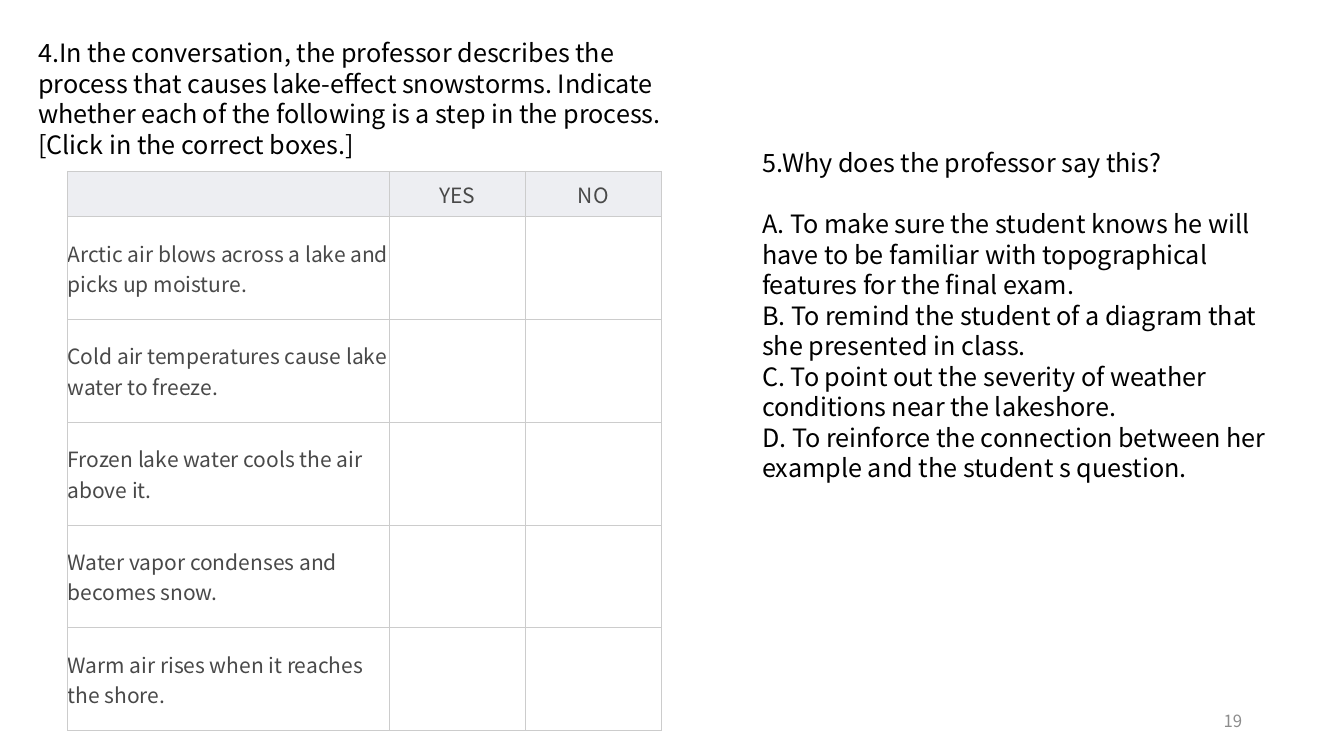
from dataclasses import dataclass

import pptx
import pptx.dml.color
import pptx.enum.text
import pptx.oxml
import pptx.oxml.ns
import pptx.util

COLS, ROWS = 1333, 750
UNIT = pptx.util.Inches(0.01)
FONT = "Noto Sans CJK SC"
TINTS = {"ink": "000000", "cell": "494949", "page": "8C8C8C",
         "head": "EDEEF2", "rule": "CCCCCC"}
ALIGN = pptx.enum.text.PP_ALIGN
MIDDLE = pptx.enum.text.MSO_ANCHOR.MIDDLE
PITCH = pptx.util.Pt(21.8)
WIDTHS = [319, 135, 135]
HEAD, STEP = 45, 102


@dataclass
class Box:
    col: int
    row: int
    wide: int
    high: int

    def place(self) -> list[int]:
        """Left, top, width and height in EMU."""
        return [n * UNIT for n in (self.col, self.row, self.wide, self.high)]


@dataclass
class Style:
    size: int
    tint: str
    align: ALIGN = ALIGN.LEFT


@dataclass
class Block:
    box: Box
    lines: list[str]


BODY = Style(18, "ink")
CELL = Style(15, "cell")
TITLE = Style(15, "cell", ALIGN.CENTER)
PAGE = Style(12, "page", ALIGN.RIGHT)

TASK = Block(Box(28, 32, 667, 131), [
    "4.In the conversation, the professor describes the process that causes "
    "lake-effect snowstorms. Indicate whether each of the following is a step "
    "in the process. [Click in the correct boxes.]"])
QUIZ = Block(Box(746, 141, 539, 343), [
    "5.Why does the professor say this?",
    "A. To make sure the student knows he will have to be familiar with "
    "topographical features for the final exam.",
    "B. To remind the student of a diagram that she presented in class.",
    "C. To point out the severity of weather conditions near the lakeshore.",
    "D. To reinforce the connection between her example and the student s question."])
NUMBER = Block(Box(942, 695, 300, 40), ["19"])
STEPS = [
    "Arctic air blows across a lake and picks up moisture.",
    "Cold air temperatures cause lake water to freeze.",
    "Frozen lake water cools the air above it.",
    "Water vapor condenses and becomes snow.",
    "Warm air rises when it reaches the shore.",
]


def color(name: str) -> pptx.dml.color.RGBColor:
    return pptx.dml.color.RGBColor.from_string(TINTS[name])


def format_text(frame, style: Style) -> None:
    for para in frame.paragraphs:
        para.alignment = style.align
        for run in para.runs:
            run.font.size = pptx.util.Pt(style.size)
            run.font.name = FONT
            run.font.color.rgb = color(style.tint)


def add_text(slide, block: Block, style: Style):
    frame = slide.shapes.add_textbox(*block.box.place()).text_frame
    frame.word_wrap = True
    frame.text = "\n".join(block.lines)
    format_text(frame, style)
    return frame


def add_rules(cell) -> None:
    """Draw a thin line on all four sides of a cell."""
    props = cell._tc.get_or_add_tcPr()
    for spot, side in enumerate("LRTB"):
        props.insert(spot, pptx.oxml.parse_xml(
            f'<a:ln{side} {pptx.oxml.ns.nsdecls("a")} w="{pptx.util.Pt(0.75)}">'
            f'<a:solidFill><a:srgbClr val="{TINTS["rule"]}"/></a:solidFill>'
            f'</a:ln{side}>'))


def fill_cell(cell, text: str, style: Style, head: bool) -> None:
    cell.margin_left = cell.margin_right = cell.margin_top = cell.margin_bottom = 0
    cell.vertical_anchor = MIDDLE
    if head:
        cell.fill.solid()
        cell.fill.fore_color.rgb = color("head")
    else:
        cell.fill.background()
    add_rules(cell)
    if text:
        cell.text_frame.text = text
        format_text(cell.text_frame, style)


def add_grid(slide) -> None:
    data = [["", "YES", "NO"]] + [[step, "", ""] for step in STEPS]
    box = Box(67, 170, sum(WIDTHS), HEAD + STEP * len(STEPS))
    table = slide.shapes.add_table(len(data), len(WIDTHS), *box.place()).table
    table.first_row = table.horz_banding = False
    for col, wide in zip(table.columns, WIDTHS):
        col.width = wide * UNIT
    for r, line in enumerate(data):
        head = r == 0
        table.rows[r].height = (HEAD if head else STEP) * UNIT
        for c, text in enumerate(line):
            fill_cell(table.cell(r, c), text, TITLE if head else CELL, head)


def main() -> None:
    deck = pptx.Presentation()
    deck.slide_width, deck.slide_height = COLS * UNIT, ROWS * UNIT
    slide = deck.slides.add_slide(deck.slide_layouts[6])
    task = add_text(slide, TASK, BODY)
    add_grid(slide)
    quiz = add_text(slide, QUIZ, BODY)
    for para in task.paragraphs + quiz.paragraphs:
        para.line_spacing = PITCH
    quiz.paragraphs[0].space_after = PITCH
    add_text(slide, NUMBER, PAGE).vertical_anchor = MIDDLE
    deck.save("out.pptx")


if __name__ == "__main__":
    main()
